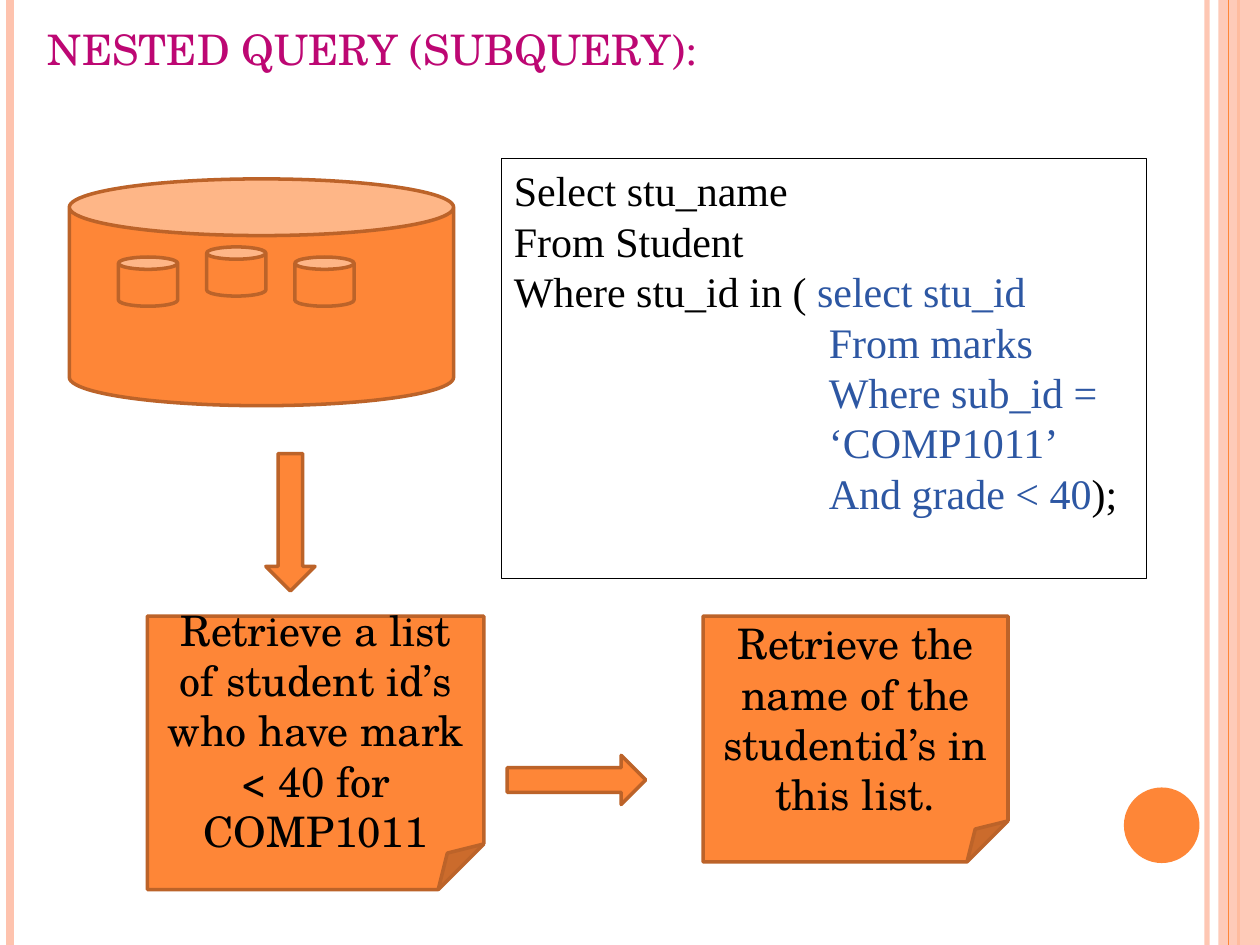
"""Build the nested query slide."""
from dataclasses import dataclass

from lxml.etree import SubElement
from pptx import Presentation
from pptx.dml.color import RGBColor
from pptx.enum.shapes import MSO_CONNECTOR, MSO_SHAPE
from pptx.enum.text import MSO_ANCHOR, MSO_AUTO_SIZE, PP_ALIGN
from pptx.oxml.ns import qn
from pptx.util import Emu, Inches, Pt

ORANGE = RGBColor(0xFE, 0x86, 0x37)
RUST = RGBColor(0xBC, 0x63, 0x29)
PEACH = RGBColor(0xFE, 0xC3, 0xAE)
BLACK = RGBColor(0, 0, 0)
BLUE = RGBColor(0x2D, 0x57, 0xA3)
MAGENTA = RGBColor(0xBD, 0x07, 0x73)
SCHOOL, TIMES = "TeX Gyre Schola", "Times New Roman"
WIDTH, HEIGHT = 10, 7.5
NOTE_TOP = 4.89


@dataclass
class Stripe:
    x: float
    weight: float
    color: RGBColor
    opacity: int = 100


@dataclass
class Figure:
    kind: MSO_SHAPE
    left: float
    top: float
    width: float
    height: float
    fill: RGBColor | None = ORANGE
    line: RGBColor | None = RUST
    weight: float = 2
    rotation: int = 0
    opacity: int = 100
    text: str = ""


@dataclass
class QueryLine:
    spans: list[tuple[str, RGBColor]]
    indent: float = 0


def set_opacity(element, percent: int) -> None:
    if percent < 100:
        color = next(element.iter(qn("a:srgbClr")))
        SubElement(color, qn("a:alpha")).set("val", str(percent * 1000))


def add_span(para, text: str, size: int, font: str, color: RGBColor):
    span = para.add_run()
    span.text = text
    for name, value in {"size": Pt(size), "name": font, "bold": False}.items():
        setattr(span.font, name, value)
    span.font.color.rgb = color
    return span


def format_frame(frame, anchor: MSO_ANCHOR) -> None:
    values = {"word_wrap": True, "vertical_anchor": anchor,
              "auto_size": MSO_AUTO_SIZE.NONE}
    for name, value in values.items():
        setattr(frame, name, value)


def draw_stripe(page, stripe: Stripe) -> None:
    x = Inches(stripe.x)
    line = page.shapes.add_connector(
        MSO_CONNECTOR.STRAIGHT, x, 0, x, Inches(HEIGHT))
    line.line.color.rgb = stripe.color
    line.line.width = Pt(stripe.weight)
    properties = line._element.spPr
    set_opacity(properties, stripe.opacity)
    SubElement(properties, qn("a:effectLst"))


def draw_figure(page, figure: Figure):
    bounds = (figure.left, figure.top, figure.width, figure.height)
    shape = page.shapes.add_shape(figure.kind, *map(Inches, bounds))
    shape.shadow.inherit = False
    shape.rotation = figure.rotation
    if figure.fill is None:
        shape.fill.background()
    else:
        shape.fill.solid()
        shape.fill.fore_color.rgb = figure.fill
        set_opacity(shape._element.spPr, figure.opacity)
    if figure.line is None:
        shape.line.fill.background()
    else:
        shape.line.color.rgb = figure.line
        shape.line.width = Pt(figure.weight)
    if figure.text:
        format_frame(shape.text_frame, MSO_ANCHOR.MIDDLE)
        para = shape.text_frame.paragraphs[0]
        para.alignment = PP_ALIGN.CENTER
        add_span(para, figure.text, 24, SCHOOL, BLACK)
    return shape


def draw_query(page, lines: list[QueryLine]) -> None:
    box = draw_figure(page, Figure(MSO_SHAPE.RECTANGLE, 3.98, 1.26, 5.12, 3.33,
                                   fill=None, line=BLACK, weight=0.75))
    frame = box.text_frame
    format_frame(frame, MSO_ANCHOR.TOP)
    for index, line in enumerate(lines):
        para = frame.add_paragraph() if index else frame.paragraphs[0]
        para.alignment = PP_ALIGN.LEFT
        para._p.get_or_add_pPr().set("marL", str(Emu(Inches(line.indent))))
        for text, color in line.spans:
            add_span(para, text, 24, TIMES, color)


def draw_title(page, text: str) -> None:
    title = page.shapes.title
    bounds = {"left": 0.28, "top": 0.05, "width": 8.5, "height": 0.62}
    for name, value in bounds.items():
        setattr(title, name, Inches(value))
    format_frame(title.text_frame, MSO_ANCHOR.TOP)
    para = title.text_frame.paragraphs[0]
    para.alignment = PP_ALIGN.LEFT
    span = add_span(para, text, 30, SCHOOL, MAGENTA)
    span.font._element.set("cap", "small")


STRIPES = [Stripe(9.58, 3, PEACH, 93), Stripe(0.08, 4.5, PEACH),
           Stripe(9.83, 1.5, ORANGE)]
BAND = Figure(MSO_SHAPE.RECTANGLE, 9.67, 0, 0.33, HEIGHT, PEACH, None, opacity=87)
DOT = Figure(MSO_SHAPE.OVAL, 8.92, 6.25, 0.6, 0.6, line=None)
DATABASE = Figure(MSO_SHAPE.CAN, 0.55, 1.42, 3.05, 1.8)
TABLES = [Figure(MSO_SHAPE.CAN, 0.94 + 0.7 * column, top, 0.47, 0.39)
          for column, top in enumerate((2.04, 1.96, 2.04))]
STEPS = [
    Figure(MSO_SHAPE.FOLDED_CORNER, 1.17, NOTE_TOP, 2.67, 2.17,
           text="Retrieve a list of student id’s who have mark < 40 for COMP1011"),
    Figure(MSO_SHAPE.DOWN_ARROW, 2.11, 3.6, 0.39, 1.09),
    Figure(MSO_SHAPE.FOLDED_CORNER, 5.58, NOTE_TOP, 2.42, 1.95,
           text="Retrieve the name of the studentid’s in this list."),
    Figure(MSO_SHAPE.DOWN_ARROW, 4.38, 5.64, 0.39, 1.1, rotation=270),
]
QUERY = [
    QueryLine([("Select stu_name ", BLACK)]),
    QueryLine([("From Student", BLACK)]),
    QueryLine([("Where stu_id in ( ", BLACK), ("select stu_id", BLUE)]),
    QueryLine([("From marks", BLUE)], 2.5),
    QueryLine([("Where sub_id = ‘COMP1011’", BLUE)], 2.5),
    QueryLine([("And grade < 40", BLUE), (");", BLACK)], 2.5),
]

deck = Presentation()
deck.slide_width, deck.slide_height = Inches(WIDTH), Inches(HEIGHT)
page = deck.slides.add_slide(deck.slide_layouts[5])
for stripe in STRIPES:
    draw_stripe(page, stripe)
draw_figure(page, BAND)
draw_stripe(page, Stripe(9.75, 0.75, ORANGE))
for figure in [DOT, DATABASE, *TABLES]:
    draw_figure(page, figure)
draw_query(page, QUERY)
for figure in STEPS:
    draw_figure(page, figure)
draw_title(page, "nested query (subquery):")
deck.save("out.pptx")
